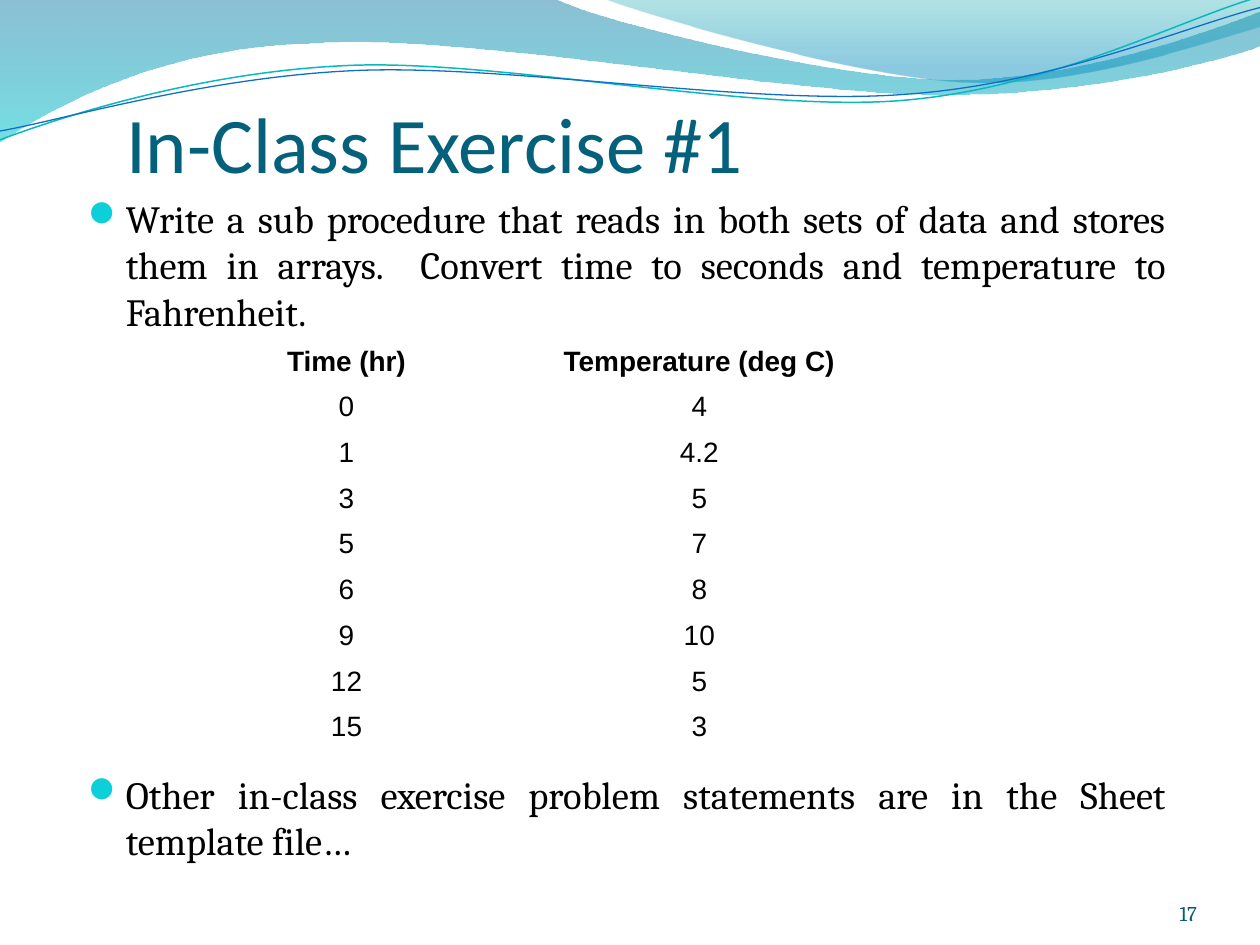
import pptx
import pptx.util
import pptx.dml.color
import pptx.enum.text
import pptx.oxml
import pptx.oxml.ns
import lxml.etree

Pt = pptx.util.Pt
Align = pptx.enum.text.PP_ALIGN
Anchor = pptx.enum.text.MSO_ANCHOR
qn = pptx.oxml.ns.qn

PLAIN = "{2D5ABB26-0587-4C30-8999-92F81FD0307C}"
COLORS = {
    "title": "04617B", "number": "045D75", "text": "000000",
    "bullet": "0BD0D9", "teal": "0AB8BF", "blue": "0F6FC6",
    "deep": "0074A1", "aqua": "00C6CF", "green": "00A1A9", "sky": "008BBF",
}


def rgb(name):
    return pptx.dml.color.RGBColor.from_string(COLORS[name])


class Deck:
    def __init__(self, wide, high):
        self.prs = pptx.Presentation()
        self.prs.slide_width, self.prs.slide_height = Pt(wide), Pt(high)
        self.slide = self.prs.slides.add_slide(self.prs.slide_layouts[5])
        self.shapes = self.slide.shapes

    def style(self, para, text, size, face, color, align, bold=False):
        para.text = text
        para.alignment = align
        font = para.font
        font.size, font.name, font.bold = Pt(size), face, bold
        font.color.rgb = rgb(color)

    def frame(self, shape, anchor, inset):
        frame = shape.text_frame
        frame.word_wrap = True
        frame.auto_size = pptx.enum.text.MSO_AUTO_SIZE.NONE
        frame.vertical_anchor = anchor
        (frame.margin_left, frame.margin_top,
         frame.margin_right, frame.margin_bottom) = map(Pt, inset)
        return frame.paragraphs[0]

    def title(self, text, x, y, w, h):
        shape = self.shapes.title
        shape.left, shape.top, shape.width, shape.height = map(Pt, (x, y, w, h))
        para = self.frame(shape, Anchor.BOTTOM, (0, 3.6, 0, 0))
        self.style(para, text, 45, "Calibri", "title", Align.LEFT)
        self.shapes._spTree.append(shape._element)

    def bullet(self, text, x, y, w, h):
        box = self.shapes.add_textbox(Pt(x), Pt(y), Pt(w), Pt(h))
        para = self.frame(box, Anchor.TOP, (7.2, 3.6, 7.2, 3.6))
        self.style(para, text, 22, "Cambria", "text", Align.JUSTIFY)
        para.space_before = Pt(4.4)
        props = para._p.get_or_add_pPr()
        props.set("marL", str(Pt(21.6)))
        props.set("indent", str(Pt(-21.6)))
        marks = pptx.oxml.parse_xml(
            f'<a:pPr {pptx.oxml.ns.nsdecls("a")}>'
            f'<a:buClr><a:srgbClr val="{COLORS["bullet"]}"/></a:buClr>'
            '<a:buSzPct val="95000"/>'
            '<a:buFont typeface="Wingdings 2" charset="2"/>'
            '<a:buChar char="&#xF097;"/></a:pPr>')
        spot = props.find(qn("a:defRPr"))
        for mark in list(marks):
            spot.addprevious(mark)

    def number(self, text, x, y, w, h):
        box = self.shapes.add_textbox(Pt(x), Pt(y), Pt(w), Pt(h))
        para = self.frame(box, Anchor.BOTTOM, (0, 0, 0, 0))
        self.style(para, text, 12, "Cambria", "number", Align.RIGHT)

    def curve(self, start, parts, close):
        """Draw lines (2 numbers) and cubic curves (6 numbers), in inches."""
        unit = 7200
        ends = [start] + [part[-2:] for part in parts]
        nodes = [(round(x * unit), round(y * unit)) for x, y in ends]
        pen = self.shapes.build_freeform(*nodes[0], scale=Pt(0.01))
        pen.add_line_segments(nodes[1:], close=close)
        shape = pen.convert_to_shape()
        shape.shadow.inherit = False
        left, top = (min(axis) for axis in zip(*nodes))
        lines = list(shape._element.iter(qn("a:lnTo")))
        for line, part in zip(lines, parts):
            if len(part) == 6:
                bend = lxml.etree.Element(qn("a:cubicBezTo"))
                for x, y in zip(part[::2], part[1::2]):
                    node = lxml.etree.SubElement(bend, qn("a:pt"))
                    node.set("x", str(round(x * unit) - left))
                    node.set("y", str(round(y * unit) - top))
                line.getparent().replace(line, bend)
        return shape

    def wave(self, start, parts, stops):
        shape = self.curve(start, parts, True)
        shape.line.fill.background()
        shape.fill.gradient()
        shape.fill.gradient_angle = 270
        for stop, (place, color, _) in zip(shape.fill.gradient_stops, stops):
            stop.position = place
            stop.color.rgb = rgb(color)
        tints = shape._element.spPr.iter(qn("a:srgbClr"))
        for tint, (_, _, alpha) in zip(list(tints), stops):
            lxml.etree.SubElement(tint, qn("a:alpha")).set("val", str(alpha * 1000))

    def strand(self, start, parts, color, width):
        shape = self.curve(start, parts, False)
        shape.fill.background()
        shape.line.color.rgb = rgb(color)
        shape.line.width = Pt(width)

    def table(self, rows, x, y, widths, heights):
        table = self.shapes.add_table(
            len(rows), len(widths), Pt(x), Pt(y),
            Pt(sum(widths)), Pt(sum(heights))).table
        table.first_row = table.horz_banding = False
        table._tbl.tblPr.find(qn("a:tableStyleId")).text = PLAIN
        for col, width in zip(table.columns, widths):
            col.width = Pt(width)
        for r, values in enumerate(rows):
            table.rows[r].height = Pt(heights[r])
            for c, value in enumerate(values):
                cell = table.cell(r, c)
                cell.fill.background()
                cell.vertical_anchor = Anchor.BOTTOM
                self.style(cell.text_frame.paragraphs[0], value, 16, "Arial",
                           "text", Align.CENTER, bold=r == 0)


deck = Deck(720, 540)

# Waves along the top
deck.wave((0, 0), [
    (4.4, -0.01), (4.76, 0.17, 6.64, 0.63, 7.58, 0.63),
    (8.53, 0.63, 9.58, 0.26, 10, 0.09), (10.01, 0.36),
    (9.83, 0.44, 8.7, 0.76, 7.46, 0.75), (6.22, 0.75, 3.82, 0.28, 2.57, 0.34),
    (1.29, 0.36, 0.46, 0.83, -0.01, 1.13),
], [(0, "deep", 45), (1, "aqua", 55)])
deck.wave((4.79, -0.01), [
    (5.09, 0.11, 6.82, 0.62, 7.69, 0.65), (8.56, 0.69, 9.61, 0.32, 10, 0.21),
    (10, 0),
], [(0, "green", 30), (0.8, "sky", 45)])

# Thin strands
deck.strand((0, 1.11), [
    (0.48, 0.93, 1.58, 0.57, 2.77, 0.52), (3.95, 0.47, 5.93, 0.89, 7.13, 0.8),
    (8.33, 0.71, 9.38, 0.15, 9.98, -0.02),
], "teal", 0.85)
deck.strand((0, 1.04), [
    (0.47, 0.96, 1.64, 0.61, 2.83, 0.56), (4.03, 0.51, 5.97, 0.84, 7.17, 0.75),
    (8.36, 0.67, 9.41, 0.21, 10, 0.06),
], "blue", 0.75)

# Title and task
deck.title("In-Class Exercise #1", 72, 60, 630, 48)
deck.bullet("Write a sub procedure that reads in both sets of data and stores "
            "them in arrays.  Convert time to seconds and temperature to "
            "Fahrenheit.", 43.2, 108, 630, 102)

# Data
times = [0, 1, 3, 5, 6, 9, 12, 15]
temps = [4, 4.2, 5, 7, 8, 10, 5, 3]
rows = [("Time (hr)", "Temperature (deg C)")]
rows += [(str(hour), str(temp)) for hour, temp in zip(times, temps)]
deck.table(rows, 121.3, 180.2, [153.4, 249.8], [38.9] + [26.13] * len(times))

# Slide number and closing note
deck.number("17", 624, 500, 60, 29)
deck.bullet("Other in-class exercise problem statements are in the Sheet "
            "template file…", 43.2, 436.8, 630, 58)

deck.prs.save("out.pptx")
